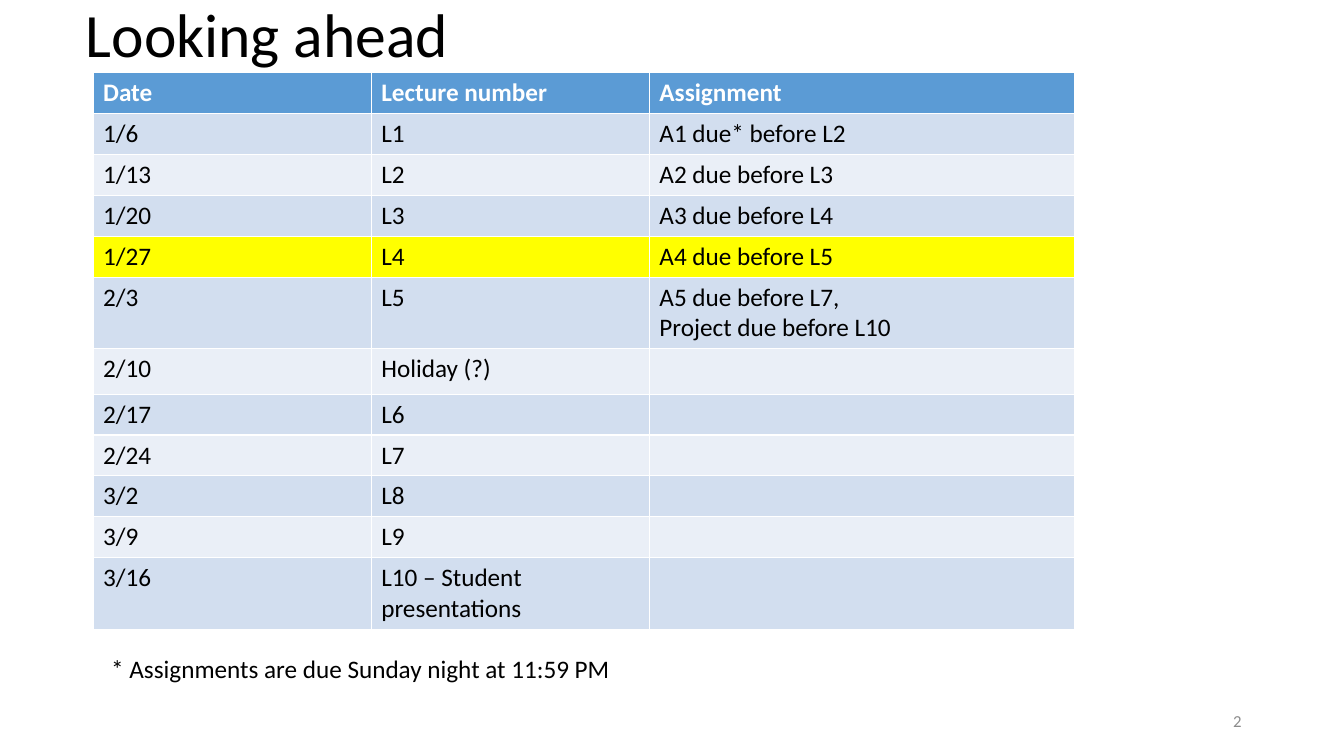
from pptx import Presentation
from pptx import util as u
from pptx.dml.color import RGBColor
from pptx.enum import text

Pt = u.Pt


def colour(hex_code):
    return RGBColor.from_string(hex_code)


def write(frame, wording, size, ink="000000", bold=False, **paragraph_format):
    """Fill a text frame, one paragraph per line of wording."""
    frame.text = wording
    for para in frame.paragraphs:
        for name, value in paragraph_format.items():
            setattr(para, name, value)
        for span in para.runs:
            for name, value in {"name": "Calibri", "size": Pt(size), "bold": bold}.items():
                setattr(span.font, name, value)
            span.font.color.rgb = colour(ink)


deck = Presentation()
deck.slide_width, deck.slide_height = Pt(960), Pt(540)
page = deck.slides.add_slide(deck.slide_layouts[5])

# Title
title = page.shapes.title
title_place = {"left": Pt(54), "top": Pt(-0.7), "width": Pt(828), "height": Pt(104.4)}
for name, value in title_place.items():
    setattr(title, name, value)
title.text_frame.vertical_anchor = text.MSO_ANCHOR.TOP
write(title.text_frame, "Looking ahead", 44,
      alignment=text.PP_ALIGN.LEFT, line_spacing=0.9)

# Schedule table
schedule = [
    ("Date", "Lecture number", "Assignment"),
    ("1/6", "L1", "A1 due* before L2"),
    ("1/13", "L2", "A2 due before L3"),
    ("1/20", "L3", "A3 due before L4"),
    ("1/27", "L4", "A4 due before L5"),
    ("2/3", "L5", "A5 due before L7,\nProject due before L10"),
    ("2/10", "Holiday (?)", ""),
    ("2/17", "L6", ""),
    ("2/24", "L7", ""),
    ("3/2", "L8", ""),
    ("3/9", "L9", ""),
    ("3/16", "L10 – Student presentations", ""),
]
special_fills = {"Date": "5B9BD5", "1/27": "FFFF00"}
band_fills = ("EAEFF7", "D2DEEF")

table_frame = page.shapes.add_table(len(schedule), 3, Pt(66.5), Pt(52), Pt(701.3), Pt(392.4))
table = table_frame.table
for column, width in zip(table.columns, (198.7, 198.7, 303.9)):
    column.width = Pt(width)
for index, entries in enumerate(schedule):
    header = index == 0
    table.rows[index].height = Pt(32.4 if entries[1] == "Holiday (?)" else 27.4)
    fill = special_fills.get(entries[0], band_fills[index % 2])
    for cell, wording in zip(table.rows[index].cells, entries):
        write(cell.text_frame, wording, 18, "FFFFFF" if header else "000000", header)
        cell.fill.solid()
        cell.fill.fore_color.rgb = colour(fill)
table_frame.height = Pt(392.4)

# Slide number
number = page.shapes.add_textbox(Pt(678), Pt(500.5), Pt(216), Pt(28.8))
number.text_frame.word_wrap = True
number.text_frame.vertical_anchor = text.MSO_ANCHOR.MIDDLE
write(number.text_frame, "2", 12, "8C8C8C", alignment=text.PP_ALIGN.RIGHT)

# Footnote
footnote = page.shapes.add_textbox(Pt(72.3), Pt(463), Pt(375), Pt(29.1))
footnote.text_frame.word_wrap = False
footnote.text_frame.auto_size = text.MSO_AUTO_SIZE.SHAPE_TO_FIT_TEXT
write(footnote.text_frame, "* Assignments are due Sunday night at 11:59 PM", 18)

deck.save("out.pptx")
